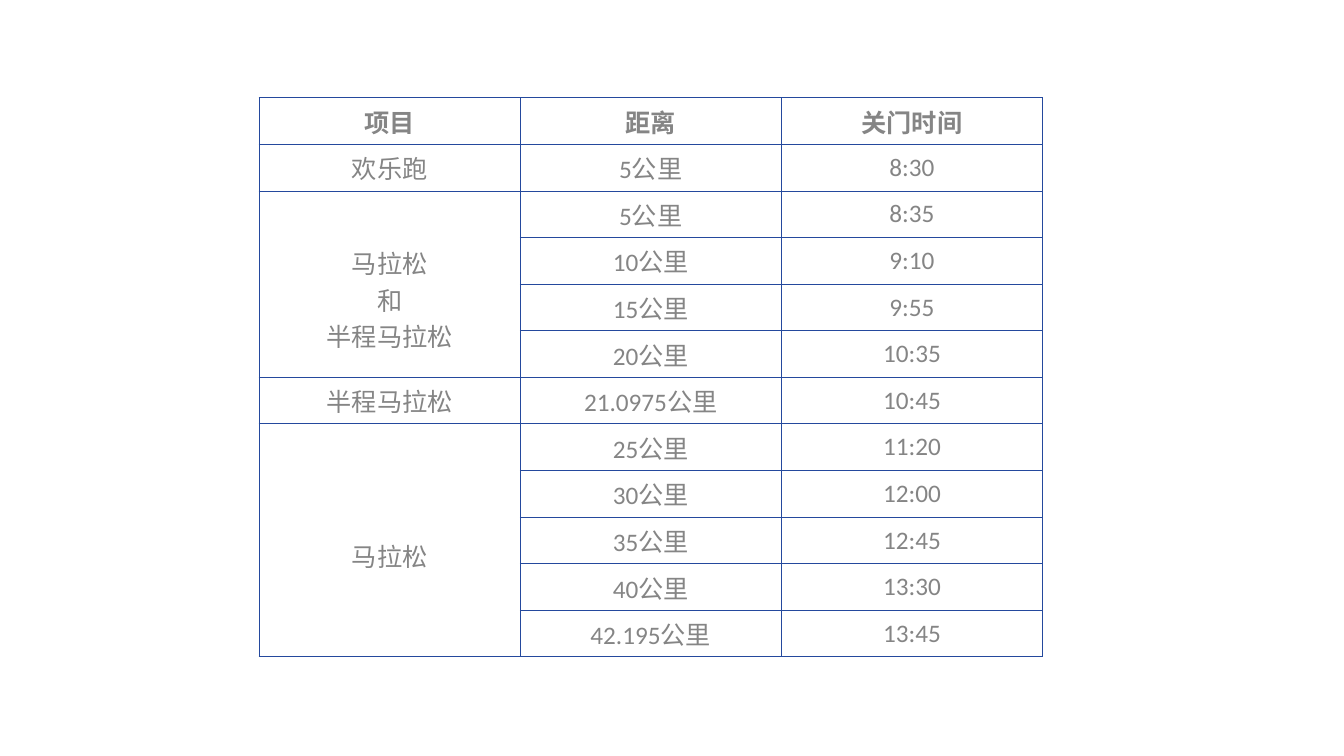
from lxml import etree
from pptx import Presentation
from pptx.dml.color import RGBColor
from pptx.enum.text import MSO_ANCHOR, PP_ALIGN
from pptx.oxml.ns import qn
from pptx.util import Inches, Pt

CENTER = PP_ALIGN.CENTER
MIDDLE = MSO_ANCHOR.MIDDLE

HEADINGS = ("项目", "距离", "关门时间")
EVENTS = [
    ("欢乐跑", [("5公里", "8:30")]),
    ("马拉松\n和\n半程马拉松", [
        ("5公里", "8:35"), ("10公里", "9:10"),
        ("15公里", "9:55"), ("20公里", "10:35"),
    ]),
    ("半程马拉松", [("21.0975公里", "10:45")]),
    ("马拉松", [
        ("25公里", "11:20"), ("30公里", "12:00"), ("35公里", "12:45"),
        ("40公里", "13:30"), ("42.195公里", "13:45"),
    ]),
]
COLORS = {"text": "858585", "border": "24499D", "fill": "FFFFFF"}
FONT = "Calibri"
LEFT, TOP = 2.57, 0.97
COLUMN_WIDTH, ROW_HEIGHT = 2.59, 0.4
BORDER_WIDTH = 0.75
MERGED_TOP_MARGIN = 0.35


def write_text(cell, text, size=18, bold=False, color="text"):
    cell.text = text
    cell.vertical_anchor = MIDDLE
    for paragraph in cell.text_frame.paragraphs:
        paragraph.alignment = CENTER
        font = paragraph.runs[0].font
        font.name = FONT
        font.size = Pt(size)
        font.bold = bold
        font.color.rgb = RGBColor.from_string(COLORS[color])


def style_cell(cell):
    properties = cell._tc.get_or_add_tcPr()
    for side in ("a:lnL", "a:lnR", "a:lnT", "a:lnB"):
        line = etree.SubElement(properties, qn(side), w=str(Pt(BORDER_WIDTH)))
        solid = etree.SubElement(line, qn("a:solidFill"))
        etree.SubElement(solid, qn("a:srgbClr"), val=COLORS["border"])
    cell.fill.solid()
    cell.fill.fore_color.rgb = RGBColor.from_string(COLORS["fill"])


def main():
    presentation = Presentation()
    presentation.slide_width = Inches(13.33)
    presentation.slide_height = Inches(7.5)
    slide = presentation.slides.add_slide(presentation.slide_layouts[6])

    row_count = 1 + sum(len(limits) for _, limits in EVENTS)
    column_count = len(HEADINGS)
    table = slide.shapes.add_table(
        row_count, column_count, Inches(LEFT), Inches(TOP),
        Inches(COLUMN_WIDTH * column_count), Inches(ROW_HEIGHT * row_count),
    ).table
    table.first_row = False
    table.horz_banding = False

    for cell in table.iter_cells():
        style_cell(cell)
    for column, heading in enumerate(HEADINGS):
        write_text(table.cell(0, column), heading, bold=True)

    row = 1
    for event, limits in EVENTS:
        event_cell = table.cell(row, 0)
        if len(limits) > 1:
            event_cell.merge(table.cell(row + len(limits) - 1, 0))
            event_cell.margin_top = Inches(MERGED_TOP_MARGIN)
        write_text(event_cell, event)
        for distance, closing_time in limits:
            write_text(table.cell(row, 1), distance)
            write_text(table.cell(row, 2), closing_time)
            row += 1

    presentation.save("out.pptx")


if __name__ == "__main__":
    main()
